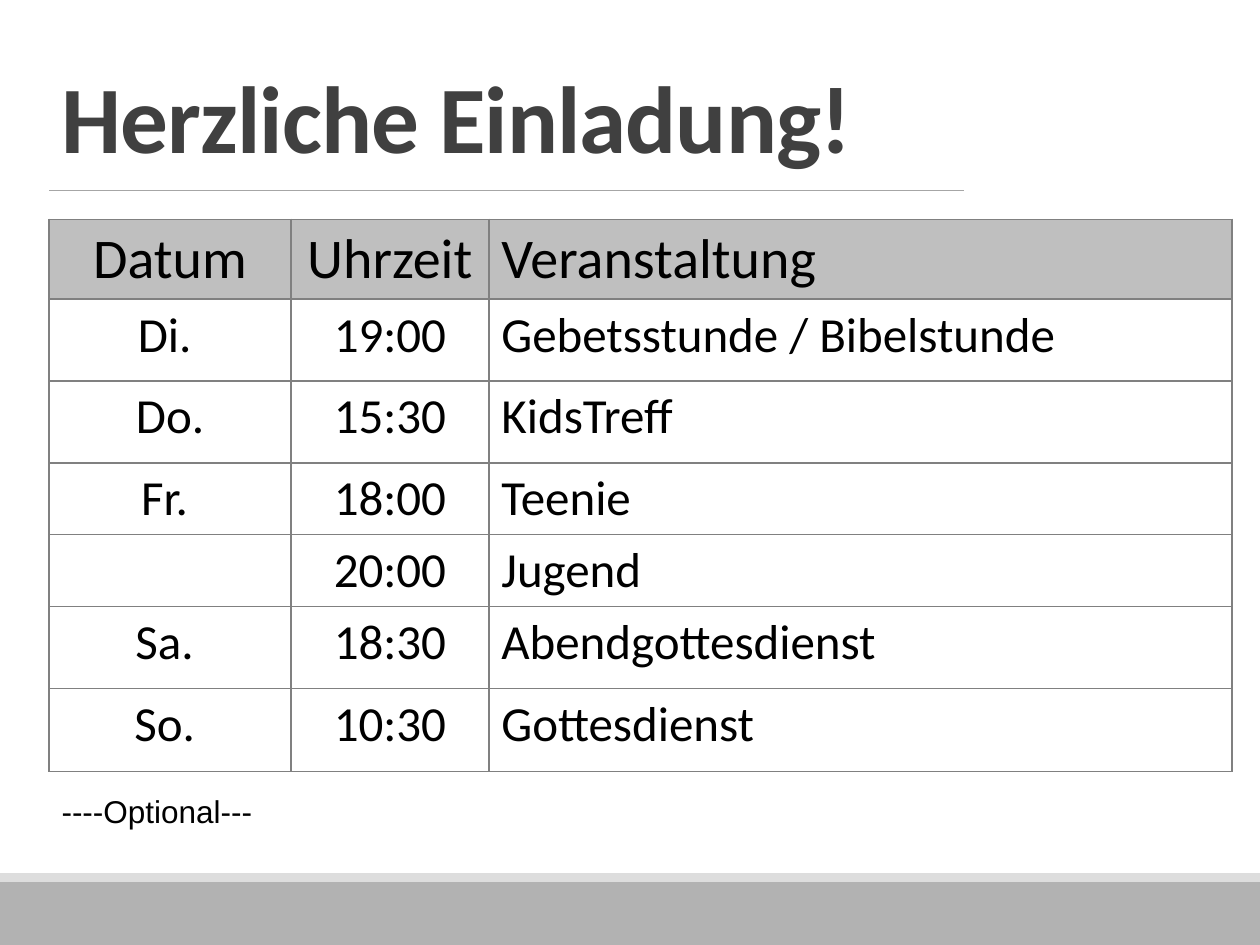
"""Build the slide with the weekly invitation table."""
import dataclasses

import lxml.etree
import pptx
import pptx.dml.color
import pptx.enum.shapes
import pptx.enum.text
import pptx.oxml.ns
import pptx.util

COLORS = {
    "band": "B2B2B2", "strip": "DDDDDD", "rule": "A6A6A6", "border": "808080",
    "head": "BFBFBF", "cell": "FFFFFF", "title": "404040", "text": "000000",
}
WIDTH, HEIGHT = pptx.util.Inches(10), pptx.util.Inches(7.5)
COLS, ROWS = 1000, 750
LEFT = 39


@dataclasses.dataclass
class Box:
    left: int
    top: int
    width: int
    height: int


@dataclasses.dataclass
class Bar:
    box: Box
    color: str


@dataclasses.dataclass
class Style:
    size: float
    color: str = "text"
    font: str = "Calibri"
    bold: bool = False
    space: int = 0


@dataclasses.dataclass
class Event:
    day: str
    time: str
    name: str
    height: int


BARS = [Bar(Box(0, 700, COLS, 50), "band"), Bar(Box(0, 693, COLS, 7), "strip")]
WIDTHS = [192, 157, 590]
EVENTS = [
    Event("Datum", "Uhrzeit", "Veranstaltung", 63),
    Event("Di. ", "19:00", "Gebetsstunde / Bibelstunde", 65),
    Event("Do.", "15:30", "KidsTreff", 65),
    Event("Fr. ", "18:00", "Teenie", 57),
    Event("", "20:00", "Jugend", 57),
    Event("Sa. ", "18:30", "Abendgottesdienst", 65),
    Event("So. ", "10:30", "Gottesdienst", 66),
]


def across(cols: int) -> int:
    return round(WIDTH * cols / COLS)


def down(rows: int) -> int:
    return round(HEIGHT * rows / ROWS)


def place(box: Box) -> tuple[int, int, int, int]:
    return across(box.left), down(box.top), across(box.width), down(box.height)


def tint(name: str) -> pptx.dml.color.RGBColor:
    return pptx.dml.color.RGBColor.from_string(COLORS[name])


def write(para, text: str, style: Style) -> None:
    run = para.add_run()
    run.text = text
    run.font.name = style.font
    run.font.size = pptx.util.Pt(style.size)
    run.font.bold = style.bold
    run.font.color.rgb = tint(style.color)
    if style.space:
        run._r.get_or_add_rPr().set("spc", str(style.space))


def draw_bar(slide, bar: Bar) -> None:
    shape = slide.shapes.add_shape(
        pptx.enum.shapes.MSO_SHAPE.RECTANGLE, *place(bar.box))
    shape.shadow.inherit = False
    shape.fill.solid()
    shape.fill.fore_color.rgb = tint(bar.color)
    shape.line.fill.background()


def draw_rule(slide, left: int, right: int, top: int) -> None:
    line = slide.shapes.add_connector(
        pptx.enum.shapes.MSO_CONNECTOR.STRAIGHT,
        across(left), down(top), across(right), down(top))
    line.line.color.rgb = tint("rule")
    line.line.width = pptx.util.Pt(0.75)
    lxml.etree.SubElement(
        line._element.spPr, pptx.oxml.ns.qn("a:effectLst"))


def draw_text(slide, box: Box, text: str, style: Style):
    frame = slide.shapes.add_textbox(*place(box)).text_frame
    frame.word_wrap = True
    write(frame.paragraphs[0], text, style)
    return frame


def add_edges(cell) -> None:
    props = cell._tc.get_or_add_tcPr()
    for side in ("lnL", "lnR", "lnT", "lnB"):
        edge = lxml.etree.SubElement(
            props, pptx.oxml.ns.qn(f"a:{side}"), w=str(pptx.util.Pt(0.96)))
        fill = lxml.etree.SubElement(edge, pptx.oxml.ns.qn("a:solidFill"))
        lxml.etree.SubElement(
            fill, pptx.oxml.ns.qn("a:srgbClr"), val=COLORS["border"])


def draw_cell(cell, text: str, head: bool, center: bool) -> None:
    add_edges(cell)
    cell.fill.solid()
    cell.fill.fore_color.rgb = tint("head" if head else "cell")
    para = cell.text_frame.paragraphs[0]
    if center:
        para.alignment = pptx.enum.text.PP_ALIGN.CENTER
    if text:
        write(para, text, Style(32 if head else 28))


def draw_table(slide, events: list[Event]) -> None:
    box = Box(LEFT, 174, sum(WIDTHS), sum(event.height for event in events))
    table = slide.shapes.add_table(
        len(events), len(WIDTHS), *place(box)).table
    table.first_row = table.horz_banding = False
    for col, width in zip(table.columns, WIDTHS):
        col.width = across(width)
    for row, event in enumerate(events):
        table.rows[row].height = down(event.height)
        for col, text in enumerate((event.day, event.time, event.name)):
            draw_cell(table.cell(row, col), text, row == 0, col < 2)


def main() -> None:
    deck = pptx.Presentation()
    deck.slide_width, deck.slide_height = WIDTH, HEIGHT
    slide = deck.slides.add_slide(deck.slide_layouts[6])
    for bar in BARS:
        draw_bar(slide, bar)
    draw_rule(slide, LEFT, 765, 151)
    title = draw_text(slide, Box(LEFT, 52, 716, 90), "Herzliche Einladung!",
                      Style(54.4, "title", bold=True, space=-50))
    title.vertical_anchor = pptx.enum.text.MSO_ANCHOR.BOTTOM
    title.paragraphs[0].line_spacing = 0.85
    draw_table(slide, EVENTS)
    draw_text(slide, Box(LEFT, 624, 908, 40), "----Optional---",
              Style(18, font="Arial"))
    deck.save("out.pptx")


if __name__ == "__main__":
    main()
